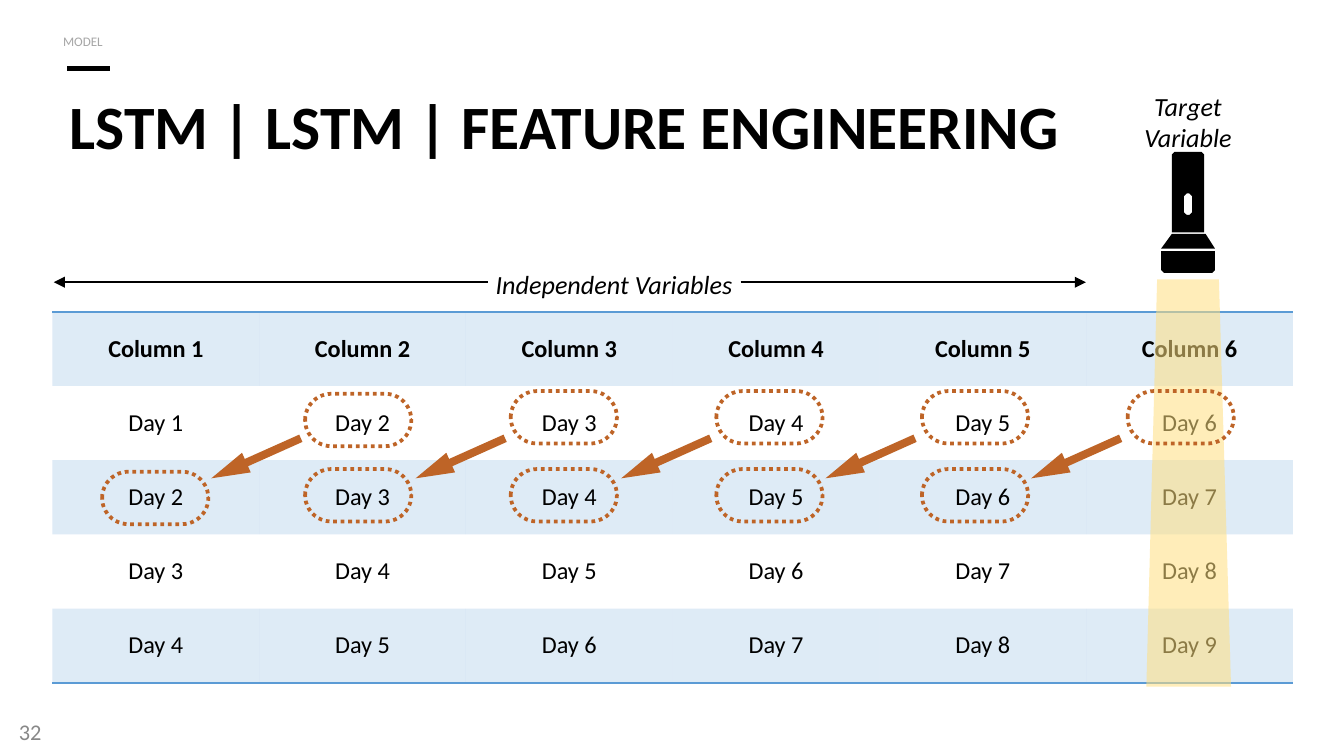
from dataclasses import dataclass
from typing import Optional

from lxml.etree import SubElement
from pptx import Presentation
from pptx.dml.color import RGBColor
from pptx.enum.dml import MSO_LINE
from pptx.enum.shapes import MSO_CONNECTOR, MSO_SHAPE
from pptx.enum.text import MSO_ANCHOR, MSO_AUTO_SIZE, PP_ALIGN
from pptx.oxml import parse_xml
from pptx.oxml.ns import nsdecls, qn
from pptx.util import Pt

PX = 9144
FONT = "Calibri"
BLACK = RGBColor(0x00, 0x00, 0x00)
LIGHT_GREY = RGBColor(0xA6, 0xA6, 0xA6)
GREY = RGBColor(0x88, 0x88, 0x88)
BLUE = RGBColor(0x5B, 0x9B, 0xD5)
ORANGE = RGBColor(0xBE, 0x64, 0x27)
YELLOW = RGBColor(0xFF, 0xE0, 0x80)

COLS, ROWS, SHIFTS, STEP = 6, 5, 5, 153
BEAM = [[(861, 208), (853, 511), (916, 511), (907, 208)]]
FLASHLIGHT = [
    [(864, 187), (904, 187), (904, 201), (902, 203), (866, 203), (864, 201)],
    [(864, 185), (872, 174), (897, 174), (904, 185)],
    [(872, 173), (872, 115), (874, 113), (894, 113), (896, 115), (896, 173)],
    [(883, 160), (885, 160), (887, 158), (887, 146),
     (885, 144), (883, 144), (881, 146), (881, 158)],
]


@dataclass
class Box:
    x: int
    y: int
    w: int
    h: int

    def emu(self) -> tuple:
        return tuple(v * PX for v in (self.x, self.y, self.w, self.h))


@dataclass
class Label:
    box: Box
    lines: tuple
    size: int
    color: RGBColor = BLACK
    bold: bool = False
    italic: bool = False
    align: PP_ALIGN = PP_ALIGN.LEFT
    anchor: MSO_ANCHOR = MSO_ANCHOR.TOP
    wrap: bool = False
    spacing: Optional[int] = None
    side: int = 5


def add_run(p, text: str, size: int, color=BLACK, bold=False, italic=False) -> None:
    r = p.add_run()
    r.text = text
    f = r.font
    f.name, f.size, f.bold, f.italic = FONT, Pt(size), bold, italic
    f.color.rgb = color


def write(sp, label: Label) -> None:
    sp.left, sp.top, sp.width, sp.height = label.box.emu()
    tf = sp.text_frame
    tf.word_wrap, tf.vertical_anchor = label.wrap, label.anchor
    tf.auto_size = MSO_AUTO_SIZE.NONE if label.wrap else MSO_AUTO_SIZE.SHAPE_TO_FIT_TEXT
    tf.margin_left = tf.margin_right = label.side * PX
    tf.margin_top = tf.margin_bottom = 5 * PX
    for i, line in enumerate(label.lines):
        p = tf.add_paragraph() if i else tf.paragraphs[0]
        p.alignment = label.align
        p.space_before = Pt(0)
        if label.spacing:
            p.line_spacing = Pt(label.spacing)
        add_run(p, line, label.size, label.color, label.bold, label.italic)


def add_label(s, label: Label):
    sp = s.shapes.add_textbox(*label.box.emu())
    write(sp, label)
    return sp


def add_line(s, x1: int, x2: int, y: int, width: float, arrow: bool = False):
    line = s.shapes.add_connector(
        MSO_CONNECTOR.STRAIGHT, x1 * PX, y * PX, x2 * PX, y * PX)
    line.line.color.rgb = BLACK
    line.line.width = Pt(width)
    if arrow:
        SubElement(line.line._get_or_add_ln(), qn("a:tailEnd"), type="triangle")
    SubElement(line._element.spPr, qn("a:effectLst"))
    return line


def set_alpha(element, percent: int) -> None:
    color = next(element.iter(qn("a:srgbClr")))
    SubElement(color, qn("a:alpha"), val=str(percent * 1000))


def add_border(tcPr, side: str) -> None:
    tcPr.insert(0, parse_xml(
        f'<a:{side} {nsdecls("a")} w="12700"><a:solidFill>'
        f'<a:srgbClr val="{BLUE}"/></a:solidFill></a:{side}>'))


def add_days_table(s, box: Box) -> None:
    table = s.shapes.add_table(ROWS, COLS, *box.emu()).table
    table.first_row = table.horz_banding = False
    style = next(table._tbl.iter(qn("a:tableStyleId")))
    style.text = "{2D5ABB26-0587-4C30-8999-92F81FD0307C}"
    for row in range(ROWS):
        for col in range(COLS):
            cell = table.cell(row, col)
            cell.margin_left = cell.margin_right = cell.margin_top = cell.margin_bottom = 0
            cell.vertical_anchor = MSO_ANCHOR.MIDDLE
            p = cell.text_frame.paragraphs[0]
            p.alignment = PP_ALIGN.CENTER
            text = f"Day {row + col}" if row else f"Column {col + 1}"
            add_run(p, text, 13, bold=row == 0)
            tcPr = cell._tc.get_or_add_tcPr()
            if row % 2:
                cell.fill.background()
            else:
                cell.fill.solid()
                cell.fill.fore_color.rgb = BLUE
                set_alpha(tcPr, 20)
            if row == 0:
                add_border(tcPr, "lnT")
            if row == ROWS - 1:
                add_border(tcPr, "lnB")


def add_outline(s, contours: list, color: RGBColor):
    builder = s.shapes.build_freeform(*contours[0][0], scale=PX)
    for i, points in enumerate(contours):
        if i:
            builder.move_to(*points[0])
        builder.add_line_segments(points[1:], close=True)
    sp = builder.convert_to_shape()
    sp.shadow.inherit = False
    sp.fill.solid()
    sp.fill.fore_color.rgb = color
    sp.line.fill.background()
    return sp


def add_pill(s, x: int, y: int) -> None:
    sp = s.shapes.add_shape(MSO_SHAPE.ROUNDED_RECTANGLE, *Box(x, y, 79, 39).emu())
    sp.adjustments[0] = 0.5
    sp.shadow.inherit = False
    sp.fill.background()
    sp.line.color.rgb = ORANGE
    sp.line.width = Pt(2)
    sp.line.dash_style = MSO_LINE.ROUND_DOT


def add_shift_arrow(s, x: int) -> None:
    sp = s.shapes.add_shape(MSO_SHAPE.RIGHT_ARROW, *Box(x, 333, 73, 16).emu())
    sp.adjustments[0], sp.adjustments[1] = 0.37, 1.79
    sp.rotation = 155.9
    sp.shadow.inherit = False
    sp.fill.solid()
    sp.fill.fore_color.rgb = ORANGE
    sp.line.fill.background()


def main() -> None:
    """Build the LSTM feature engineering slide."""
    prs = Presentation()
    prs.slide_width = 1000 * PX
    prs.slide_height = prs.slide_width * 9 // 16
    s = prs.slides.add_slide(prs.slide_layouts[5])
    write(s.shapes.title, Label(
        Box(42, 74, 922, 90), ("LSTM | LSTM | FEATURE ENGINEERING",), 33,
        bold=True, wrap=True, spacing=30, side=10))
    add_line(s, 50, 82, 51, 2.25)
    add_label(s, Label(Box(42, 18, 452, 23), ("MODEL",), 7, LIGHT_GREY,
                       wrap=True, spacing=10))
    add_label(s, Label(Box(9, 531, 28, 27), ("32",), 12, GREY, anchor=MSO_ANCHOR.MIDDLE))
    add_days_table(s, Box(39, 232, 923, 276))
    set_alpha(add_outline(s, BEAM, YELLOW)._element.spPr, 55)
    add_outline(s, FLASHLIGHT, BLACK)
    for i in range(SHIFTS):
        nudge = 0 if i else 2
        add_pill(s, 74 + STEP * i + nudge, 349 + nudge)
        add_pill(s, 74 + STEP * (i + 1), 291 + nudge)
        add_shift_arrow(s, 154 + 305 * i // 2)
    add_label(s, Label(Box(846, 62, 76, 56), ("Target", "Variable"), 14,
                       italic=True, align=PP_ALIGN.CENTER))
    span = add_label(s, Label(Box(363, 195, 188, 30), ("Independent Variables",), 14,
                              italic=True, align=PP_ALIGN.CENTER))
    add_line(s, 551, 808, 210, 1, arrow=True).begin_connect(span, 3)
    add_line(s, 363, 40, 210, 1, arrow=True).begin_connect(span, 1)
    prs.save("out.pptx")


if __name__ == "__main__":
    main()
